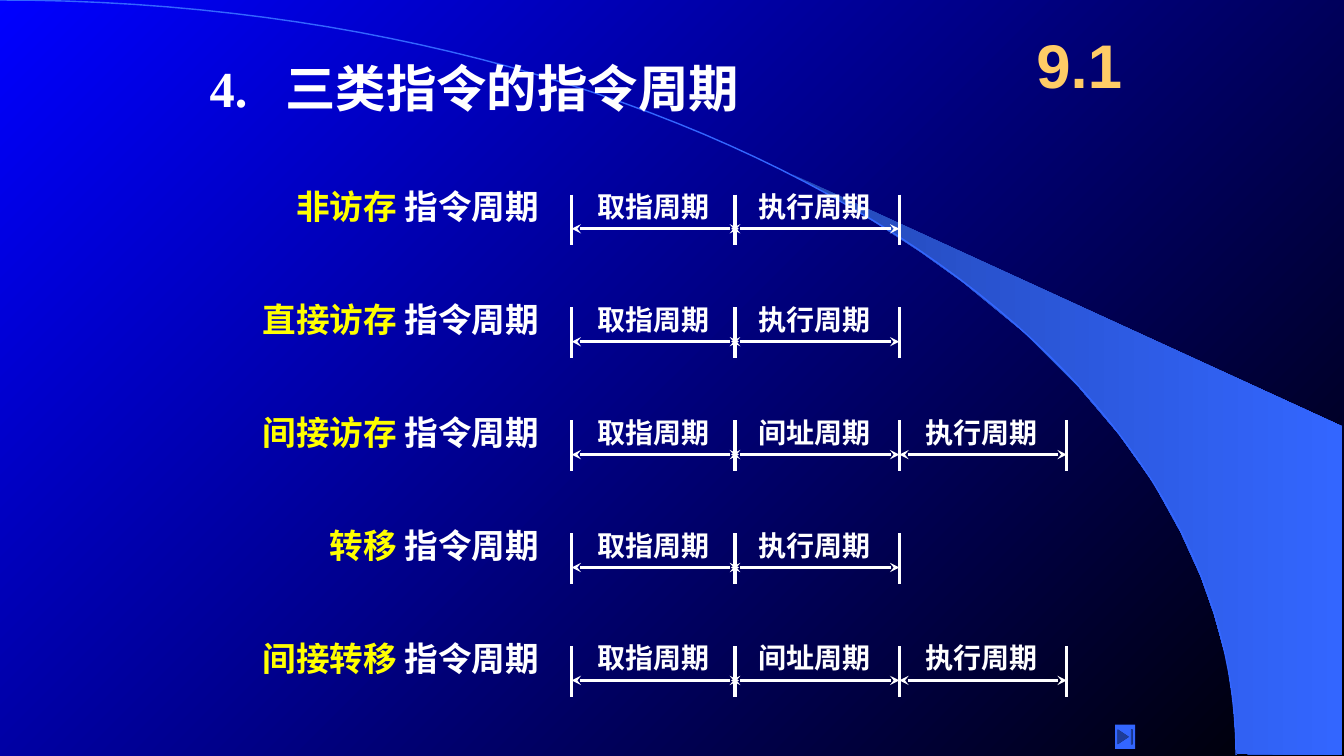
from dataclasses import dataclass

from lxml import etree
from pptx import Presentation
from pptx.dml.color import RGBColor
from pptx.enum import shapes, text
from pptx.oxml import ns
from pptx.util import Inches, Pt


@dataclass(frozen=True)
class Theme:
    white: RGBColor = RGBColor.from_string("FFFFFF")
    yellow: RGBColor = RGBColor.from_string("FFFF00")
    gold: RGBColor = RGBColor.from_string("FFCC66")
    blue: RGBColor = RGBColor.from_string("3366FF")
    deep_blue: RGBColor = RGBColor.from_string("2449B6")
    back_start: RGBColor = RGBColor.from_string("0000FF")
    back_end: RGBColor = RGBColor.from_string("000000")
    serif: str = "Times New Roman"
    sans: str = "Arial"
    title_size: int = 36
    section_size: int = 44
    label_size: int = 24
    phase_size: int = 20


theme = Theme()
presentation = Presentation()
presentation.slide_width = Inches(13.33)
presentation.slide_height = Inches(7.5)
slide = presentation.slides.add_slide(presentation.slide_layouts[6])


def add_text(left, top, width, height, runs, size, name=theme.serif, tab=None):
    box = slide.shapes.add_textbox(Inches(left), Inches(top), Inches(width), Inches(height))
    box.text_frame.word_wrap = False
    paragraph = box.text_frame.paragraphs[0]
    if tab:
        tabs = etree.SubElement(paragraph._p.get_or_add_pPr(), ns.qn("a:tabLst"))
        etree.SubElement(tabs, ns.qn("a:tab"), pos=str(Inches(tab)), algn="l")
    paragraph.font.name = name
    paragraph.font.size = Pt(size)
    paragraph.font.bold = True
    for wording, color in runs:
        run = paragraph.add_run()
        run.text = wording
        run.font.color.rgb = color
    return box


def add_line(x1, y1, x2, y2, arrows=False):
    connector = slide.shapes.add_connector(
        shapes.MSO_CONNECTOR.STRAIGHT, Inches(x1), Inches(y1), Inches(x2), Inches(y2))
    connector.line.color.rgb = theme.white
    connector.line.width = Pt(2.25)
    if arrows:
        for end in ("a:headEnd", "a:tailEnd"):
            etree.SubElement(connector.line._get_or_add_ln(), ns.qn(end), type="stealth")
    etree.SubElement(connector._element.spPr, ns.qn("a:effectLst"))


background = slide.background.fill
background.gradient()
background.gradient_angle = 315
background.gradient_stops[0].color.rgb = theme.back_start
background.gradient_stops[1].color.rgb = theme.back_end

beam_points = [
    (12.27, 7.48), (13.31, 7.49), (13.31, 4.23), (7.86, 1.73), (8.32, 1.99),
    (8.7, 2.22), (9.13, 2.5), (9.55, 2.8), (10.16, 3.3), (10.7, 3.84),
    (11.1, 4.31), (11.44, 4.79), (11.71, 5.28), (11.91, 5.72), (12.04, 6.09),
    (12.17, 6.56), (12.23, 6.96),
]
beam_outline = [(Inches(x), Inches(y)) for x, y in beam_points]
builder = slide.shapes.build_freeform(*beam_outline[0])
builder.add_line_segments(beam_outline[1:], close=True)
beam = builder.convert_to_shape()
beam.shadow.inherit = False
beam.line.fill.background()
beam.fill.gradient()
beam.fill.gradient_angle = 0
beam.fill.gradient_stops[0].color.rgb = theme.deep_blue
beam.fill.gradient_stops[1].color.rgb = theme.blue

arc_outline = []
steps = 60
for step in range(1, steps + 1):
    t = step / steps
    x = 3 * (1 - t) ** 2 * t * 6.77 + 3 * (1 - t) * t ** 2 * 12.26 + t ** 3 * 12.26
    y = 3 * (1 - t) * t ** 2 * 3.35 + t ** 3 * 7.49
    arc_outline.append((Inches(x), Inches(y)))
builder = slide.shapes.build_freeform(0, 0)
builder.add_line_segments(arc_outline, close=False)
arc = builder.convert_to_shape()
arc.shadow.inherit = False
arc.fill.background()
arc.line.color.rgb = theme.blue
arc.line.width = Pt(1)

title = add_text(2.08, 0.58, 5.6, 0.58, [("4.\t三类指令的指令周期", theme.white)],
                 theme.title_size, tab=0.75)
title.text_frame.word_wrap = True
title.text_frame.margin_left = title.text_frame.margin_right = 0
title.text_frame.vertical_anchor = text.MSO_ANCHOR.MIDDLE

section = add_text(10.08, 0.17, 1.25, 0.92, [("9.1", theme.gold)], theme.section_size, theme.sans)
section.text_frame.word_wrap = True
section.text_frame.vertical_anchor = text.MSO_ANCHOR.MIDDLE
section.text_frame.paragraphs[0].alignment = text.PP_ALIGN.CENTER

direct = ["取指周期", "执行周期"]
indirect = ["取指周期", "间址周期", "执行周期"]
instructions = [
    ("非访存", direct),
    ("直接访存", direct),
    ("间接访存", indirect),
    ("转移", direct),
    ("间接转移", indirect),
]
marks = [5.67, 7.29, 8.92, 10.58]
spans = [(5.67, 7.33), (7.25, 8.92), (8.92, 10.58)]
phase_lefts = [5.83, 7.42, 9.08]

for row, (kind, phases) in enumerate(instructions):
    top = 1.83 + row * 1.12
    label_width = 1.63 + len(kind) / 3
    label = add_text(5.47 - label_width, top - 0.03, label_width, 0.5,
                     [(kind + " ", theme.yellow), ("指令周期", theme.white)], theme.label_size)
    label.text_frame.auto_size = text.MSO_AUTO_SIZE.SHAPE_TO_FIT_TEXT
    for mark in marks[:len(phases) + 1]:
        add_line(mark, top + 0.1, mark, top + 0.6)
    for phase, (start, end), left in zip(phases, spans, phase_lefts):
        add_line(start, top + 0.44, end, top + 0.44, arrows=True)
        box = add_text(left, top, 1.32, 0.43, [(phase, theme.white)], theme.phase_size)
        box.text_frame.auto_size = text.MSO_AUTO_SIZE.SHAPE_TO_FIT_TEXT

end_button = slide.shapes.add_shape(
    shapes.MSO_SHAPE.ACTION_BUTTON_END, Inches(11.06), Inches(7.19), Inches(0.2), Inches(0.24))
end_button.shadow.inherit = False
end_button.fill.solid()
end_button.fill.fore_color.rgb = theme.blue
end_button.line.fill.background()

presentation.save("out.pptx")
